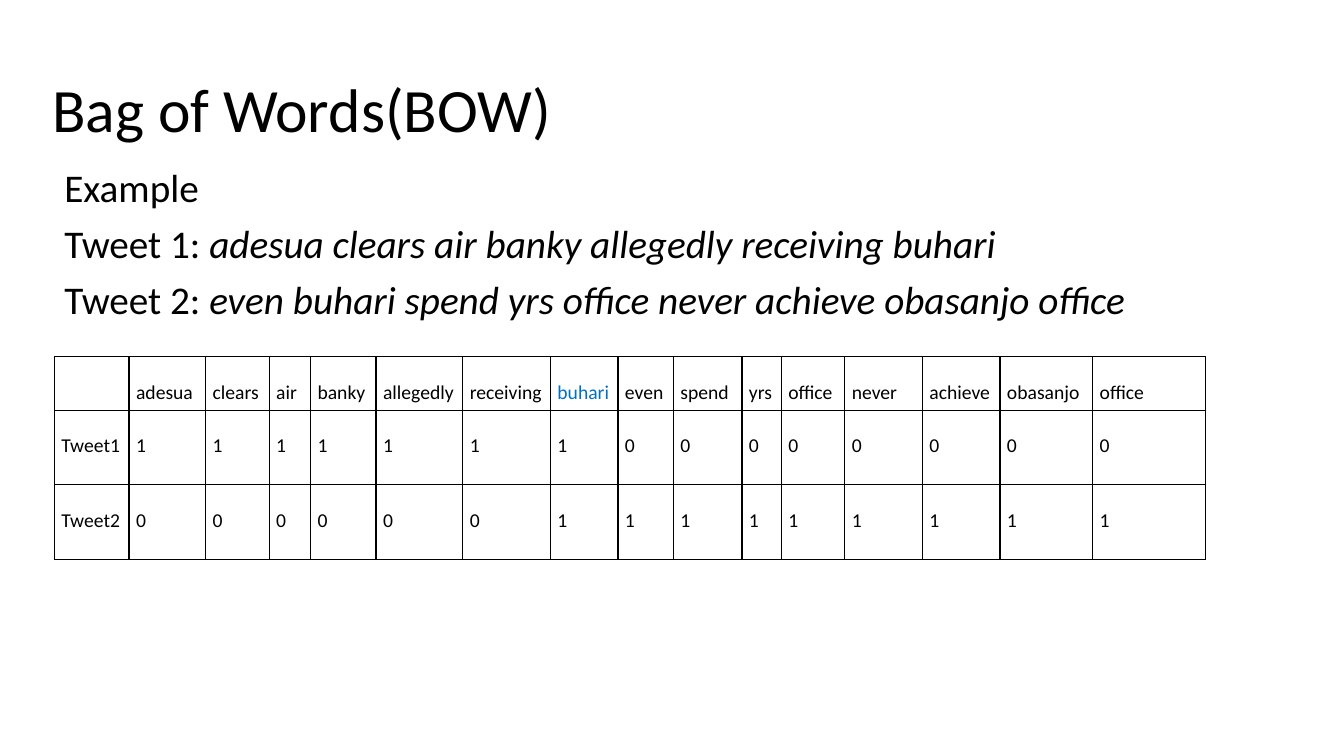
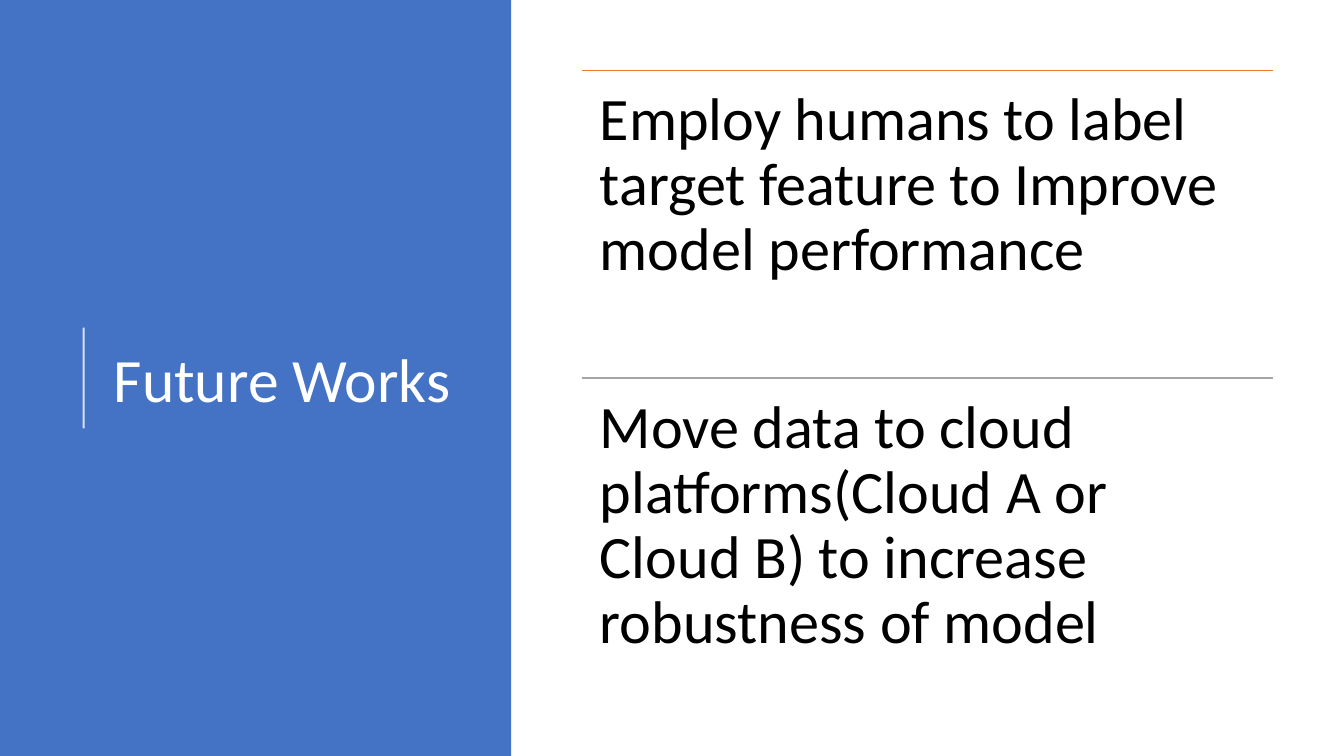
import pptx
import pptx.util
import pptx.dml.color
import pptx.enum.shapes
import pptx.enum.text
import pptx.oxml
import pptx.oxml.ns
import lxml.etree

Inches = pptx.util.Inches
Anchor = pptx.enum.text.MSO_ANCHOR
Align = pptx.enum.text.PP_ALIGN
qn = pptx.oxml.ns.qn

FONT = "Calibri"
COLORS = {
    "black": "000000",
    "white": "FFFFFF",
    "panel": "4472C4",
    "orange": "ED7D31",
    "gray": "A5A5A5",
    "shared": "0070C0",
}
WIDE, HIGH = 13.33, 7.5

TWEETS = [
    "adesua clears air banky allegedly receiving buhari",
    "even buhari spend yrs office never achieve obasanjo office",
]
WORDS = [
    "adesua", "clears", "air", "banky", "allegedly", "receiving", "buhari", "even",
    "spend", "yrs", "office", "never", "achieve", "obasanjo", "office",
]
WIDTHS = [
    0.74, 0.76, 0.63, 0.41, 0.65, 0.86, 0.87, 0.67,
    0.55, 0.68, 0.39, 0.63, 0.77, 0.77, 0.92, 1.12,
]
HEIGHTS = [0.53, 0.74, 0.74]
GOALS = [
    ("Employ humans to label target feature to Improve model performance", "orange"),
    ("Move data to cloud platforms(Cloud A or Cloud B) to increase robustness of model", "gray"),
]


def rgb(name):
    return pptx.dml.color.RGBColor.from_string(COLORS[name])


def write(frame, lines, size=28, color="black", align=Align.LEFT, space=0.9, before=0):
    frame.word_wrap = True
    for at, runs in enumerate(lines):
        para = frame.paragraphs[0] if at == 0 else frame.add_paragraph()
        para.alignment = align
        para.line_spacing = space
        para.space_before = pptx.util.Pt(before)
        for text, slant in runs:
            run = para.add_run()
            run.text = text
            font = run.font
            font.name = FONT
            font.size = pptx.util.Pt(size)
            font.italic = slant
            font.color.rgb = rgb(color)


def add_text(slide, box, lines, anchor=Anchor.TOP, inset=None, **style):
    frame = slide.shapes.add_textbox(*map(Inches, box)).text_frame
    frame.vertical_anchor = anchor
    if inset is not None:
        frame.margin_left = frame.margin_right = Inches(inset)
        frame.margin_top = frame.margin_bottom = Inches(inset)
    write(frame, lines, **style)


def add_title(slide, box, text, color="black"):
    add_text(slide, box, [[(text, False)]], anchor=Anchor.MIDDLE, size=44, color=color)


def add_line(slide, start, end, color, width=1, alpha=None):
    line = slide.shapes.add_connector(
        pptx.enum.shapes.MSO_CONNECTOR.STRAIGHT, *map(Inches, start + end))
    line.line.color.rgb = rgb(color)
    line.line.width = pptx.util.Pt(width)
    props = line._element.spPr
    if alpha is not None:
        tint = props.find(".//" + qn("a:srgbClr"))
        lxml.etree.SubElement(tint, qn("a:alpha"), val=str(alpha * 1000))
    lxml.etree.SubElement(props, qn("a:effectLst"))


def add_edges(cell):
    props = cell._tc.get_or_add_tcPr()
    for side in ("lnL", "lnR", "lnT", "lnB"):
        edge = lxml.etree.SubElement(props, qn("a:" + side), w=str(pptx.util.Pt(1)))
        fill = lxml.etree.SubElement(edge, qn("a:solidFill"))
        lxml.etree.SubElement(fill, qn("a:srgbClr"), val=COLORS["black"])


def add_counts(slide, left, top):
    first, second = ([word in tweet.split() for word in WORDS] for tweet in TWEETS)
    rows = [[""] + WORDS]
    for name, flags in (("Tweet1", first), ("Tweet2", second)):
        rows.append([name] + [str(int(flag)) for flag in flags])
    box = (left, top, sum(WIDTHS), sum(HEIGHTS))
    table = slide.shapes.add_table(len(rows), len(WIDTHS), *map(Inches, box)).table
    table.first_row = table.horz_banding = False
    for col, width in zip(table.columns, WIDTHS):
        col.width = Inches(width)
    for row, height, texts in zip(table.rows, HEIGHTS, rows):
        row.height = Inches(height)
        for cell, text in zip(row.cells, texts):
            add_edges(cell)
            cell.fill.background()
            cell.margin_left = cell.margin_right = Inches(0.07)
            cell.margin_top = cell.margin_bottom = 0
            color = "shared" if text == "buhari" else "black"
            write(cell.text_frame, [[(text, False)]] if text else [[]],
                  size=14, color=color, align=Align.JUSTIFY, space=2)


def add_panel(slide, left, top, width, height):
    panel = slide.shapes.add_shape(
        pptx.enum.shapes.MSO_SHAPE.RECTANGLE, *map(Inches, (left, top, width, height)))
    panel.shadow.inherit = False
    panel.fill.solid()
    panel.fill.fore_color.rgb = rgb("panel")
    panel.line.fill.background()
    add_title(slide, (left + 1.03, top + 0.78, 3.69, 6.02), "Future Works", "white")
    mark, mid = left + 0.83, top + height / 2
    add_line(slide, (mark, mid + 0.5), (mark, mid - 0.5), "white", 1.5, alpha=80)


def add_goals(slide, left, top, width, height):
    step = height / len(GOALS)
    for at, (text, color) in enumerate(GOALS):
        y = top + at * step
        add_line(slide, (left, y), (left + width, y), color)
        add_text(slide, (left, y, width, step), [[(text, False)]], inset=0.18, size=43)


def words_slide(slide):
    add_title(slide, (0.42, 0.39, 11.5, 1.45), "Bag of Words(BOW)")
    lines = [[("Example", False)]]
    for at, tweet in enumerate(TWEETS, 1):
        lines.append([(f"Tweet {at}: ", False), (tweet, True)])
    add_text(slide, (0.54, 1.62, 11.5, 4.76), lines, before=10)
    add_counts(slide, 0.54, 3.54)


def future_slide(slide):
    add_panel(slide, 0, 0, 5.07, HIGH)
    add_goals(slide, 5.77, 0.7, 6.86, 6.1)


def main():
    deck = pptx.Presentation()
    deck.slide_width, deck.slide_height = Inches(WIDE), Inches(HIGH)
    for build in (words_slide, future_slide):
        build(deck.slides.add_slide(deck.slide_layouts[6]))
    deck.save("out.pptx")


if __name__ == "__main__":
    main()
